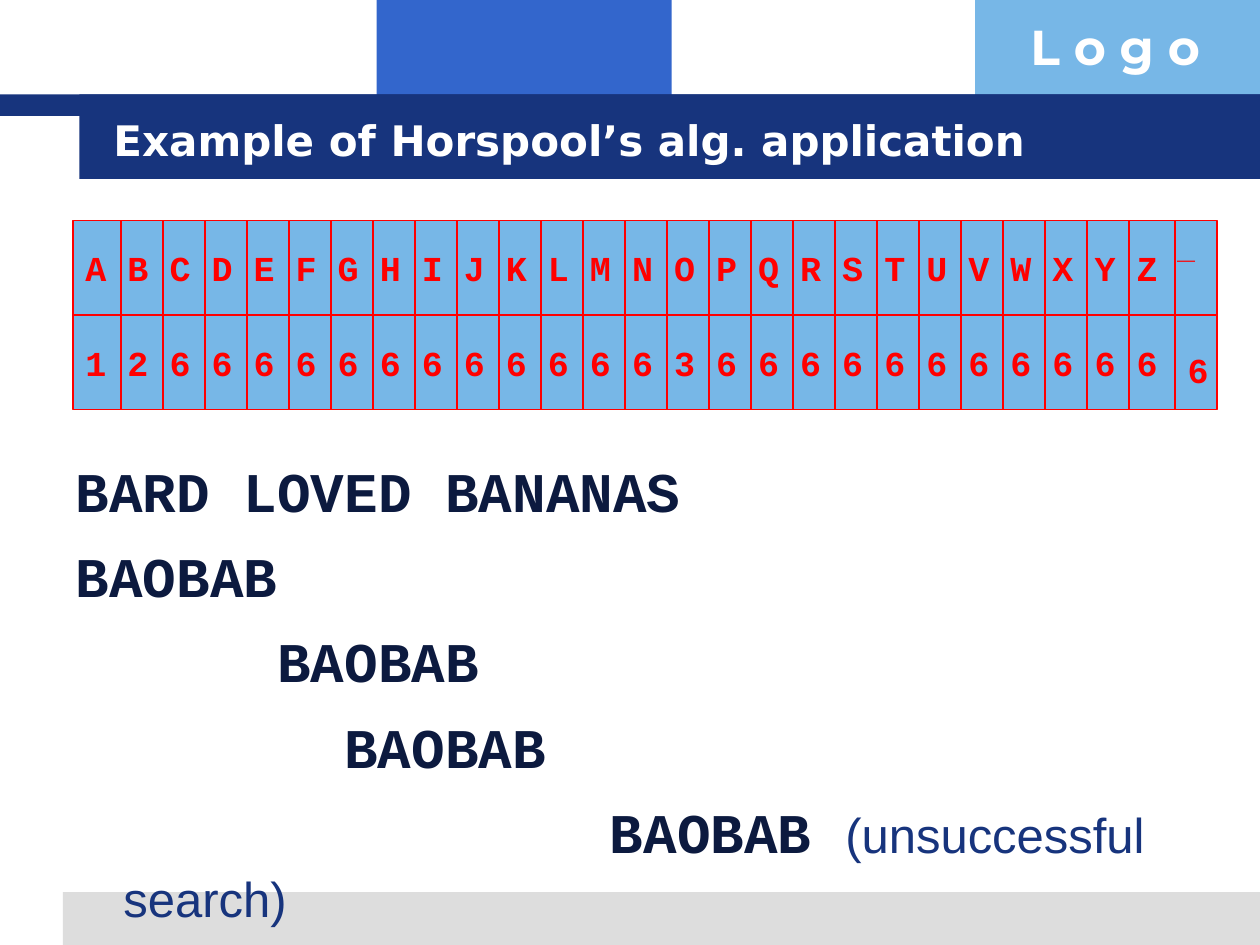
from lxml import etree
from pptx import Presentation
from pptx.dml.color import RGBColor
from pptx.enum.shapes import MSO_CONNECTOR, MSO_SHAPE
from pptx.enum.text import MSO_ANCHOR, MSO_AUTO_SIZE, PP_ALIGN
from pptx.oxml.ns import qn
from pptx.util import Inches, Pt

RECT = MSO_SHAPE.RECTANGLE
LINE = MSO_CONNECTOR.STRAIGHT
LEFT = PP_ALIGN.LEFT
TOP, MID = MSO_ANCHOR.TOP, MSO_ANCHOR.MIDDLE
FIXED = MSO_AUTO_SIZE.NONE

NAVY, BLUE, SKY = "17347D", "3366CC", "77B7E7"
GREY, RED, INK, WHITE = "DDDDDD", "FF0000", "0C1A3F", "FFFFFF"

CODE = {"name": "Courier New", "size": Pt(32), "bold": True, "color": INK}
NOTE = {"name": "Arial", "size": Pt(28), "bold": False, "color": NAVY}
CELL = {"name": "Courier New", "size": Pt(20), "bold": True, "color": RED}
MARK = {"name": "Arial", "size": Pt(18), "bold": True, "color": RED}
HEAD = {"name": "DejaVu Sans", "size": Pt(24), "bold": True, "color": WHITE}
BRAND = {"name": "Montserrat", "size": Pt(28), "bold": True, "color": WHITE}

LETTERS = "ABCDEFGHIJKLMNOPQRSTUVWXYZ"
SHIFTS = {"A": 1, "B": 2, "O": 3}
WORD = "BAOBAB"


def paint(part, color):
    if hasattr(part, "solid"):
        part.solid()
        part.fore_color.rgb = RGBColor.from_string(color)
    else:
        part.color.rgb = RGBColor.from_string(color)


def apply(item, form):
    for key, value in form.items():
        if key == "color":
            paint(item, value)
        else:
            setattr(item, key, value)


def place(shape, box):
    for key, value in zip(("left", "top", "width", "height"), box):
        setattr(shape, key, Inches(value))


def write(para, text, form):
    run = para.add_run()
    run.text = text
    apply(run.font, form)


def set_text(shape, text, form, anchor=TOP, wrap=True):
    frame = shape.text_frame
    apply(frame, {"auto_size": FIXED, "word_wrap": wrap,
                  "vertical_anchor": anchor})
    para = frame.paragraphs[0]
    para.alignment = LEFT
    write(para, text, form)


def add_text(slide, box, text, form):
    shape = slide.shapes.add_textbox(*map(Inches, box))
    set_text(shape, text, form)


def add_rect(slide, box, color, edge=None):
    shape = slide.shapes.add_shape(RECT, *map(Inches, box))
    shape.shadow.inherit = False
    paint(shape.fill, color)
    if edge:
        paint(shape.line, edge)
        shape.line.width = Pt(1)
    else:
        shape.line.fill.background()
    return shape


def add_rule(slide, x1, y1, x2, y2):
    rule = slide.shapes.add_connector(LINE, *map(Inches, (x1, y1, x2, y2)))
    paint(rule.line, RED)
    rule.line.width = Pt(1)
    etree.SubElement(rule._element.spPr, qn("a:effectLst"))


def add_frame(slide, box):
    x, y, w, h = box
    right, base = x + w, y + h
    blocks = [
        ((x + 2.99, y, 2.34, 0.92), BLUE),
        ((right - 2.26, y, 2.26, 0.92), SKY),
        ((x + 0.5, base - 0.42, w - 0.5, 0.42), GREY),
        ((x, y + 0.75, w, 0.17), NAVY),
        ((x + 0.63, y + 0.75, w - 0.63, 0.67), NAVY),
    ]
    for part, color in blocks:
        add_rect(slide, part, color)
    add_text(slide, (right - 1.92, y + 0.08, 1.92, 0.57), "L o g o", BRAND)


def add_title(slide, box):
    title = slide.shapes.title
    place(title, box)
    set_text(title, "Example of Horspool’s alg. application", HEAD, MID)


def add_shifts(slide, box):
    x, y, w, h = box
    step, row = 1 / 3, h / 2
    last = x + w - step
    values = [str(SHIFTS.get(char, len(WORD))) for char in LETTERS]
    for i, line in enumerate((LETTERS, values)):
        band = add_rect(slide, (x, y + i * row, w - step, row), SKY, RED)
        set_text(band, " ".join(line), CELL, MID, False)
    for i in range(len(LETTERS) - 1):
        at = x + 0.38 + i * step
        add_rule(slide, at, y, at, y + h)
    add_rect(slide, (last, y, step, h), SKY, RED)
    add_rule(slide, last, y + row, x + w, y + row)
    add_text(slide, (last - 0.08, y, 0.5, 0.4), "_", MARK)
    add_text(slide, (last, y + row + 0.22, step, 0.44), str(len(WORD)), CELL)


def add_trace(slide, box):
    body = slide.placeholders[1]
    place(body, box)
    frame = body.text_frame
    apply(frame, {"auto_size": FIXED, "word_wrap": True,
                  "vertical_anchor": TOP})
    hang, pitch = 0.38, 32 * 0.6 / 72
    lines = [("BARD LOVED BANANAS", 0), (WORD, 0), (WORD, 6),
             (WORD, 8), (WORD + " ", 15.9)]
    for i, (text, shift) in enumerate(lines):
        para = frame.add_paragraph() if i else frame.paragraphs[0]
        props = para._p.get_or_add_pPr()
        props.set("marL", str(Inches(hang)))
        props.set("indent", str(Inches(shift * pitch - hang)))
        etree.SubElement(props, qn("a:buNone"))
        apply(para, {"alignment": LEFT, "line_spacing": 1.06,
                     "space_before": Pt(8 if i else 0)})
        write(para, text, CODE)
    write(para, "(unsuccessful search)", NOTE)


def main():
    deck = Presentation()
    deck.slide_width, deck.slide_height = Inches(10), Inches(7.5)
    slide = deck.slides.add_slide(deck.slide_layouts[1])
    add_frame(slide, (0, 0, 10, 7.5))
    tree = slide.shapes._spTree
    for holder in list(slide.placeholders):
        tree.append(holder._element)
    add_title(slide, (0.8, 0.8, 8.53, 0.62))
    add_trace(slide, (0.5, 3.54, 9.33, 3.79))
    add_shifts(slide, (0.58, 1.75, 9.08, 1.5))
    deck.save("out.pptx")


if __name__ == "__main__":
    main()
